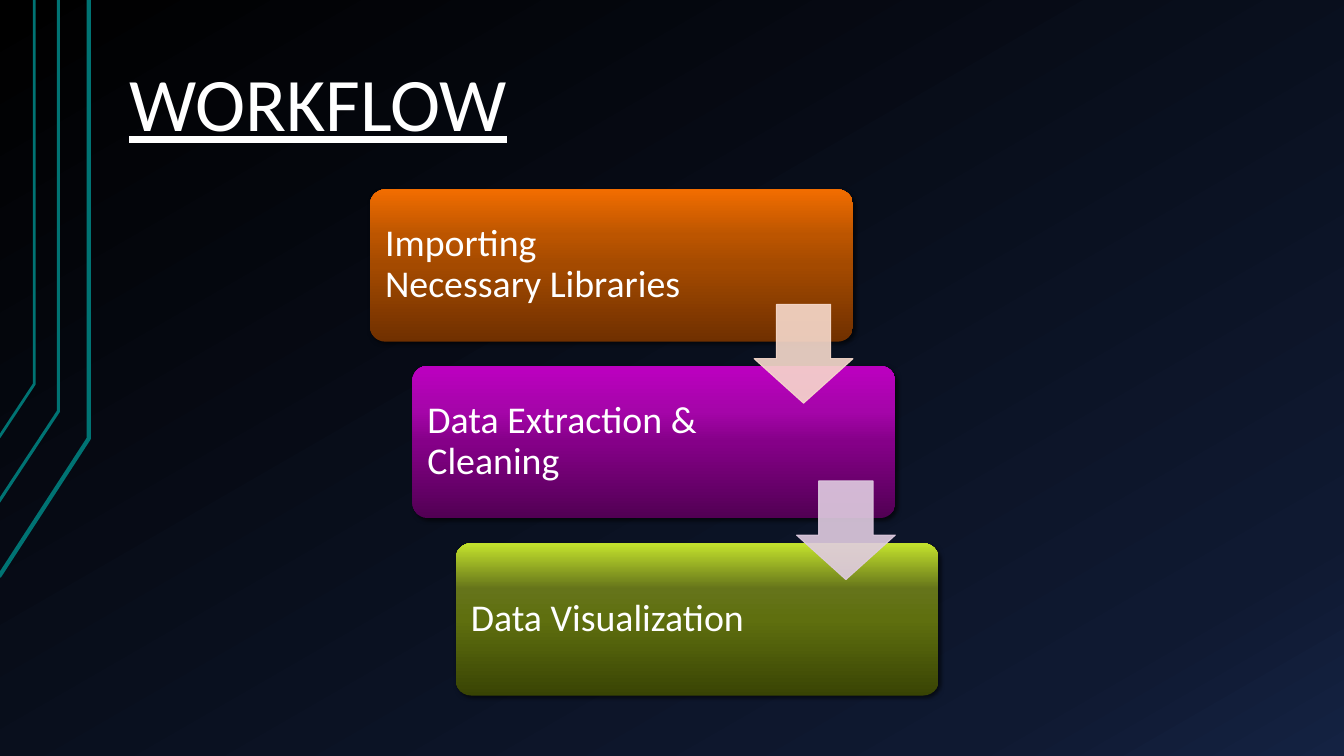
from lxml import etree
from pptx import Presentation
from pptx import util as u
from pptx.dml import color
from pptx.enum import shapes, text
from pptx.oxml import ns

PX = 9144
WHITE = "FFFFFF"
RAILS = [
    ((-1, 572), (88, 435), 3),
    ((-2, 499), (58, 408), 2.25),
    ((-1, 434), (34, 381), 2),
]
STAGES = [
    ("Importing Necessary Libraries", 316,
     [(0, "703000"), (50, "A44A00"), (70, "BC5500"), (100, "F26D00")]),
    ("Data Extraction & Cleaning", 330,
     [(0, "520054"), (50, "850088"), (70, "A505A9"), (100, "BC00C0")]),
    ("Data Visualization", 330,
     [(0, "394404"), (50, "5F6F0F"), (70, "65741A"), (100, "C4E32D")]),
]
ARROW_TINTS = ["F7DACC", "E0CCE1"]


def px(*lengths):
    """Turn px lengths into EMU."""
    return [u.Emu(length * PX) for length in lengths]


def rgb(code):
    """Turn a hex string into a colour."""
    return color.RGBColor.from_string(code)


def sub(parent, tag, **attributes):
    """Append a drawing element to its parent."""
    values = {key: str(value) for key, value in attributes.items()}
    return etree.SubElement(parent, ns.qn(tag), values)


def fill_gradient(fill, owner, stops, angle):
    """Give a fill several colour stops at a clockwise angle."""
    fill.gradient()
    gradient = owner.find(".//" + ns.qn("a:gradFill"))
    stop_list = gradient.find(ns.qn("a:gsLst"))
    for stop in list(stop_list):
        stop_list.remove(stop)
    for position, code in stops:
        stop = sub(stop_list, "a:gs", pos=position * 1000)
        sub(stop, "a:srgbClr", val=code)
    gradient.find(ns.qn("a:lin")).set("ang", str(angle * 60000))


def add_shadow(card):
    """Drop a soft shadow to the lower right of a card."""
    effects = sub(card._element.spPr, "a:effectLst")
    shadow = sub(effects, "a:outerShdw", blurRad=u.Pt(3), dist=u.Pt(2),
                 dir=45 * 60000, algn="ctr", rotWithShape=0)
    sub(sub(shadow, "a:srgbClr", val="000000"), "a:alpha", val=60000)


def write(frame, words, size, anchor, insets, underline=None):
    """Write one left-aligned white paragraph into a text frame."""
    frame.word_wrap = True
    frame.auto_size = text.MSO_AUTO_SIZE.NONE
    frame.vertical_anchor = anchor
    side, edge = px(*insets)
    frame.margin_left = frame.margin_right = side
    frame.margin_top = frame.margin_bottom = edge
    paragraph = frame.paragraphs[0]
    paragraph.alignment = text.PP_ALIGN.LEFT
    paragraph.line_spacing = 0.9
    run = paragraph.add_run()
    run.text = words
    run.font.name = "Calibri"
    run.font.size = u.Pt(size)
    run.font.underline = underline
    run.font.color.rgb = rgb(WHITE)


def draw_rails(slide, left, top):
    """Draw the bent teal lines from a corner of the slide."""
    for end, bend, weight in RAILS:
        builder = slide.shapes.build_freeform(*end, scale=PX)
        builder.add_line_segments([bend, (bend[0], 0)], close=False)
        rail = builder.convert_to_shape(*px(left, top))
        rail.fill.background()
        rail.line.color.rgb = rgb("007373")
        rail.line.width = u.Pt(weight)
        rail.shadow.inherit = False


def place_title(slide, left, top, width, height):
    """Set the underlined heading."""
    title = slide.shapes.title
    title.left, title.top, title.width, title.height = px(left, top, width, height)
    write(title.text_frame, "WORKFLOW", 54, text.MSO_ANCHOR.BOTTOM, (13, 7), True)


def draw_stage(slide, left, top, stage):
    """Draw one workflow card with its label."""
    words, label_width, stops = stage
    card = slide.shapes.add_shape(
        shapes.MSO_SHAPE.ROUNDED_RECTANGLE, *px(left, top, 479, 151))
    card.adjustments[0] = 0.1
    fill_gradient(card.fill, card._element.spPr, stops, 270)
    card.line.fill.background()
    add_shadow(card)
    label = slide.shapes.add_textbox(*px(left + 4, top + 4, label_width, 142))
    write(label.text_frame, words, 27, text.MSO_ANCHOR.MIDDLE, (11, 11))


def draw_arrow(slide, left, top, tint):
    """Draw the translucent arrow that leads to the next stage."""
    arrow = slide.shapes.add_shape(
        shapes.MSO_SHAPE.DOWN_ARROW, *px(left, top, 98, 98))
    arrow.adjustments[0] = 0.55
    arrow.adjustments[1] = 0.45
    arrow.shadow.inherit = False
    arrow.fill.solid()
    arrow.fill.fore_color.rgb = rgb(tint)
    arrow.line.color.rgb = rgb(tint)
    arrow.line.width = u.Pt(0.75)
    for shade in arrow._element.spPr.iter(ns.qn("a:srgbClr")):
        sub(shade, "a:alpha", val=90000)


def draw_workflow(slide, left, top):
    """Step the stages down to the right and link them with arrows."""
    corners = [(left + i * 85 // 2, top + i * 351 // 2) for i in range(len(STAGES))]
    for corner, stage in zip(corners, STAGES):
        draw_stage(slide, *corner, stage)
    for (x, y), tint in zip(corners, ARROW_TINTS):
        draw_arrow(slide, x + 381, y + 114, tint)


def main():
    """Build and save the workflow slide."""
    deck = Presentation()
    deck.slide_width, deck.slide_height = px(1333, 750)
    slide = deck.slides.add_slide(deck.slide_layouts[5])
    fill_gradient(slide.background.fill, slide._element,
                  [(0, "000000"), (85, "0F1931"), (100, "142242")], 60)
    draw_rails(slide, 0, 0)
    place_title(slide, 115, 19, 685, 135)
    draw_workflow(slide, 367, 188)
    deck.save("out.pptx")


if __name__ == "__main__":
    main()
